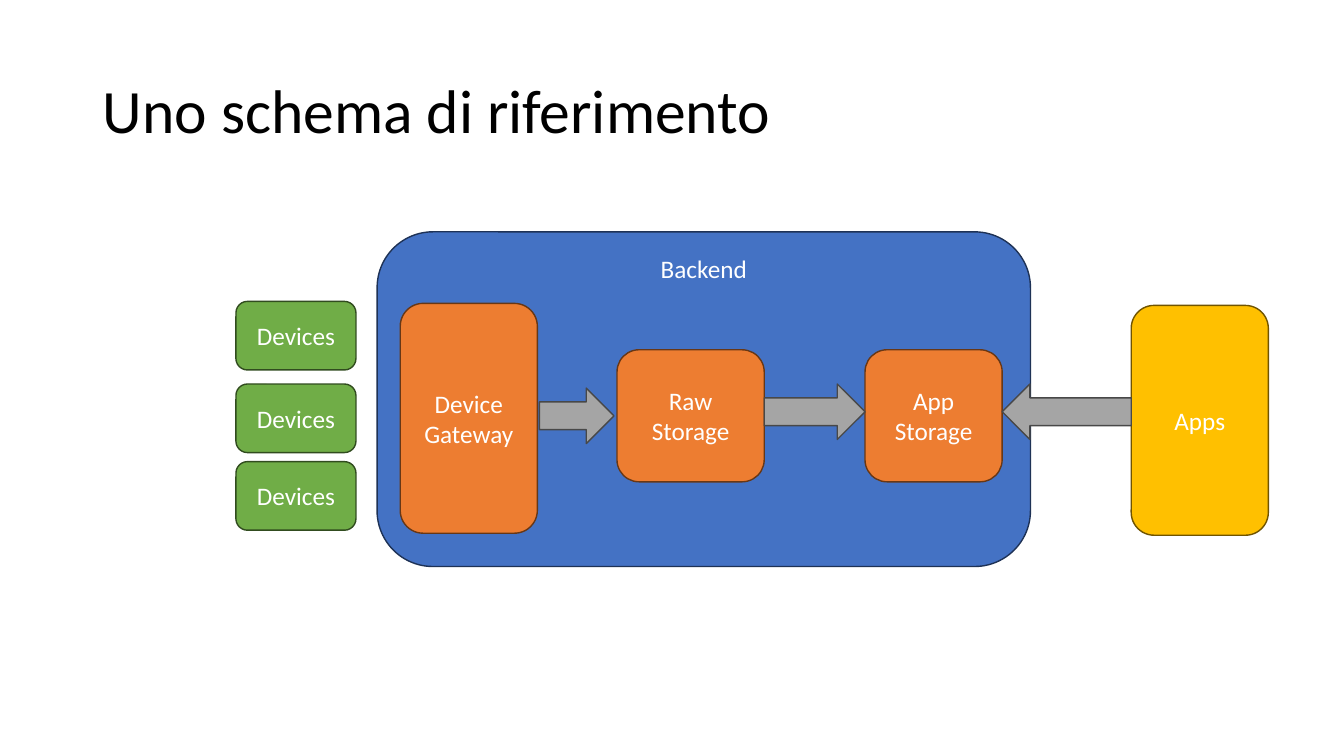
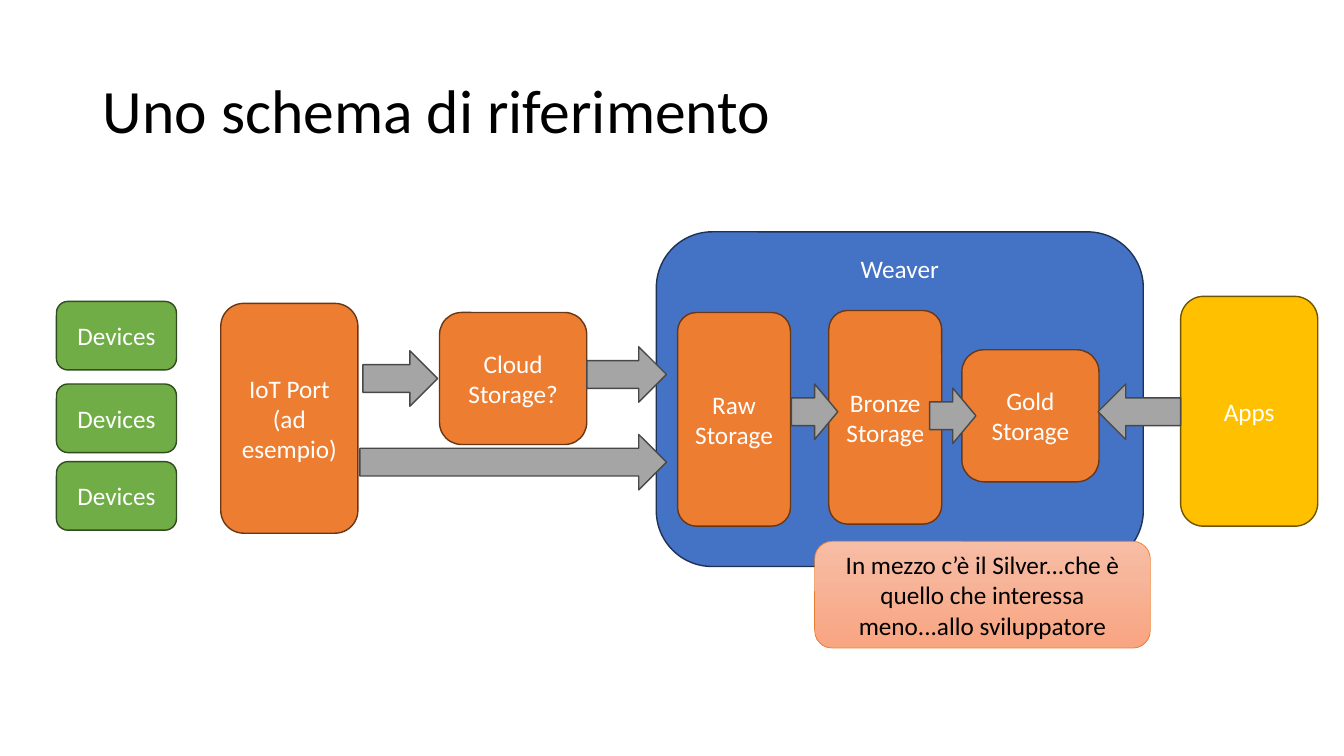
from pptx import Presentation
from pptx.dml.color import RGBColor
from pptx.enum import shapes, text
from pptx.util import Inches, Pt

BLACK = RGBColor(0x00, 0x00, 0x00)
WHITE = RGBColor(0xFF, 0xFF, 0xFF)
BLUE = RGBColor(0x44, 0x72, 0xC4)
BLUE_EDGE = RGBColor(0x1E, 0x32, 0x56)
GREEN = RGBColor(0x70, 0xAD, 0x47)
GREEN_EDGE = RGBColor(0x31, 0x4C, 0x1F)
ORANGE = RGBColor(0xED, 0x7D, 0x31)
ORANGE_EDGE = RGBColor(0x68, 0x37, 0x15)
YELLOW = RGBColor(0xFF, 0xC0, 0x00)
YELLOW_EDGE = RGBColor(0x70, 0x54, 0x00)
GRAY = RGBColor(0xA5, 0xA5, 0xA5)
GRAY_EDGE = RGBColor(0x48, 0x48, 0x48)
PEACH_TOP = RGBColor(0xF7, 0xBD, 0xA5)
PEACH_BOTTOM = RGBColor(0xF8, 0xA5, 0x82)

FONT = "Calibri"
TITLE = "Uno schema di riferimento"
TITLE_BOX = (0.92, 0.4, 11.5, 1.45)
ROUNDED = shapes.MSO_SHAPE.ROUNDED_RECTANGLE
RIGHT = shapes.MSO_SHAPE.RIGHT_ARROW
LEFT = shapes.MSO_SHAPE.LEFT_ARROW
ARROW_HEIGHT = 0.55
TALL = (1.36, 2.28)
SQUARE = (1.36, 1.31)
WIDE = (1.46, 1.31)
NARROW = (1.12, 2.12)


def write_text(frame, words, size=18, color=WHITE, align=text.PP_ALIGN.CENTER,
               anchor=text.MSO_ANCHOR.MIDDLE, spacing=None):
    frame.text = words
    frame.word_wrap = True
    frame.vertical_anchor = anchor
    for para in frame.paragraphs:
        para.alignment = align
        para.line_spacing = spacing
        for span in para.runs:
            span.font.name = FONT
            span.font.size = Pt(size)
            span.font.color.rgb = color


def add_block(page, box, fill, edge, kind=ROUNDED, weight=1):
    block = page.shapes.add_shape(kind, *map(Inches, box))
    block.shadow.inherit = False
    block.fill.solid()
    block.fill.fore_color.rgb = fill
    block.line.color.rgb = edge
    block.line.width = Pt(weight)
    return block


def add_stage(page, box, label, fill=ORANGE, edge=ORANGE_EDGE):
    write_text(add_block(page, box, fill, edge).text_frame, label)


def add_arrow(page, left, top, width, kind=RIGHT):
    add_block(page, (left, top, width, ARROW_HEIGHT), GRAY, GRAY_EDGE, kind)


def add_devices(page, left, top):
    for offset in (0, 0.82, 1.59):
        add_stage(page, (left, top + offset, 1.19, 0.68), "Devices", GREEN, GREEN_EDGE)


def add_apps(page, left, top, reach):
    add_stage(page, (left, top, *TALL), "Apps", YELLOW, YELLOW_EDGE)
    add_arrow(page, left - reach, 3.81, reach, LEFT)


def add_platform(page, box, label, stages, arrows):
    left, top = box[:2]
    panel = add_block(page, box, BLUE, BLUE_EDGE)
    write_text(panel.text_frame, label, anchor=text.MSO_ANCHOR.TOP)
    for name, across, down, size in stages:
        add_stage(page, (left + across, top + down, *size), name)
    for across, down, width in arrows:
        add_arrow(page, left + across, top + down, width)


def add_ingestion(page, left, top):
    add_stage(page, (left, top, *TALL), "IoT Port\v(ad esempio)")
    add_stage(page, (left + 2.17, top + 0.09, *WIDE), "Cloud Storage?")
    for across, down, width in ((1.41, 0.47, 0.74), (3.63, 0.43, 0.79), (1.38, 1.3, 3.04)):
        add_arrow(page, left + across, top + down, width)


def add_note(page, box, words):
    note = add_block(page, box, PEACH_TOP, ORANGE, weight=0.5)
    note.fill.gradient()
    note.fill.gradient_angle = 270
    for stop, color in zip(note.fill.gradient_stops, (PEACH_TOP, PEACH_BOTTOM)):
        stop.color.rgb = color
    write_text(note.text_frame, words, color=BLACK)


def add_page(deck):
    page = deck.slides.add_slide(deck.slide_layouts[5])
    title = page.shapes.title
    title.left, title.top, title.width, title.height = map(Inches, TITLE_BOX)
    write_text(title.text_frame, TITLE, size=44, color=BLACK,
               align=text.PP_ALIGN.LEFT, spacing=0.9)
    return page


def build_generic_schema(deck):
    page = add_page(deck)
    add_platform(page, (3.74, 2.3, 6.48, 3.32), "Backend",
                 [("Device\nGateway", 0.23, 0.71, TALL),
                  ("Raw Storage", 2.38, 1.17, WIDE),
                  ("App Storage", 4.84, 1.17, SQUARE)],
                 [(1.61, 1.55, 0.74), (3.84, 1.51, 1)])
    add_devices(page, 2.34, 2.99)
    add_apps(page, 11.22, 3.03, 1.28)


def build_cloud_schema(deck):
    page = add_page(deck)
    add_platform(page, (6.51, 2.3, 4.83, 3.32), "Weaver",
                 [("Raw Storage", 0.21, 0.8, NARROW),
                  ("Bronze Storage", 1.71, 0.78, NARROW),
                  ("Gold Storage", 3.03, 1.17, SQUARE)],
                 [(1.34, 1.51, 0.46), (2.71, 1.55, 0.46)])
    add_devices(page, 0.56, 2.99)
    add_ingestion(page, 2.19, 3.01)
    add_apps(page, 11.71, 2.94, 0.82)
    add_note(page, (8.08, 5.37, 3.33, 1.06),
             "In mezzo c’è il Silver...che è quello che interessa meno...allo sviluppatore")


def main():
    deck = Presentation()
    deck.slide_width = Inches(13.33)
    deck.slide_height = Inches(7.5)
    build_generic_schema(deck)
    build_cloud_schema(deck)
    deck.save("out.pptx")


if __name__ == "__main__":
    main()
